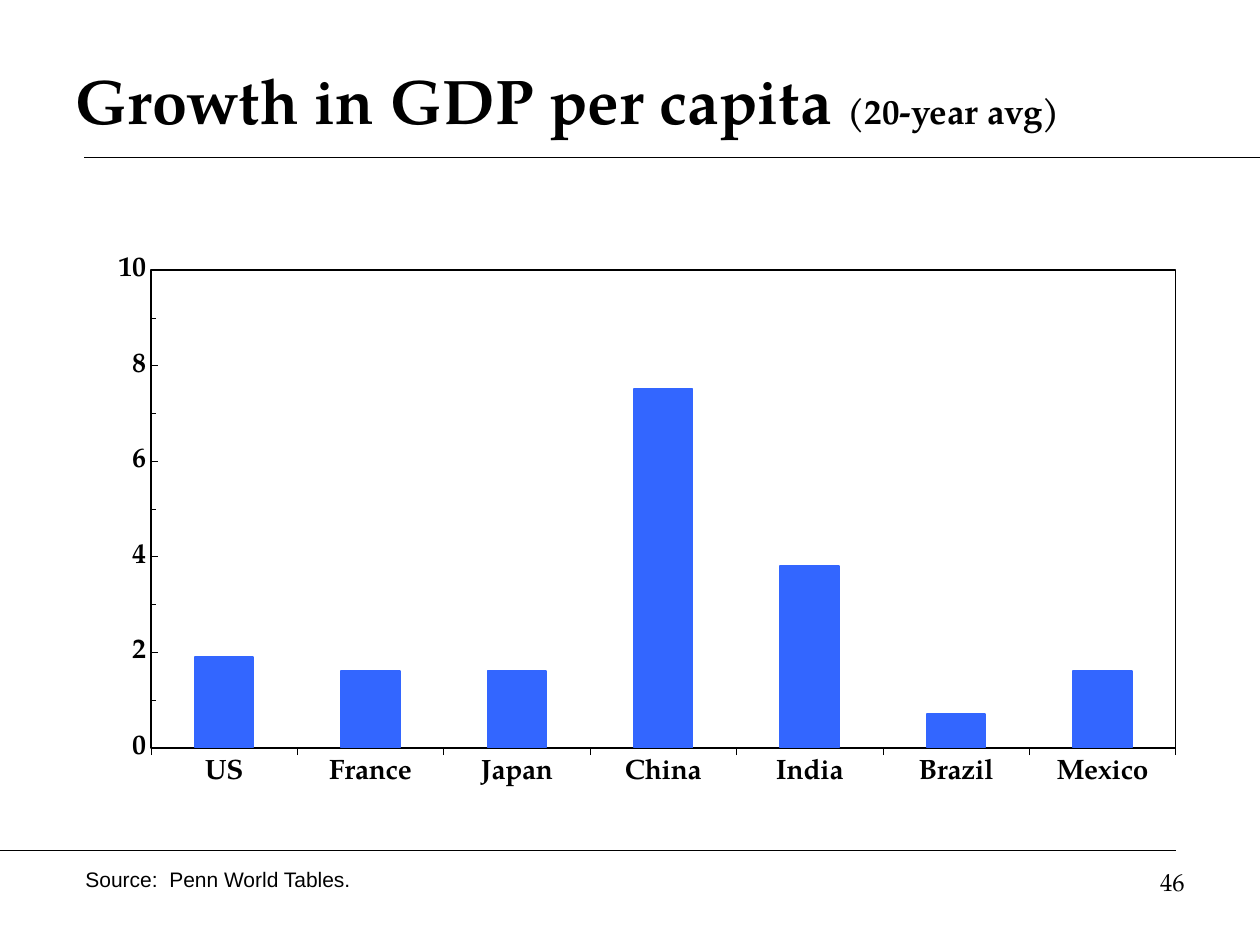
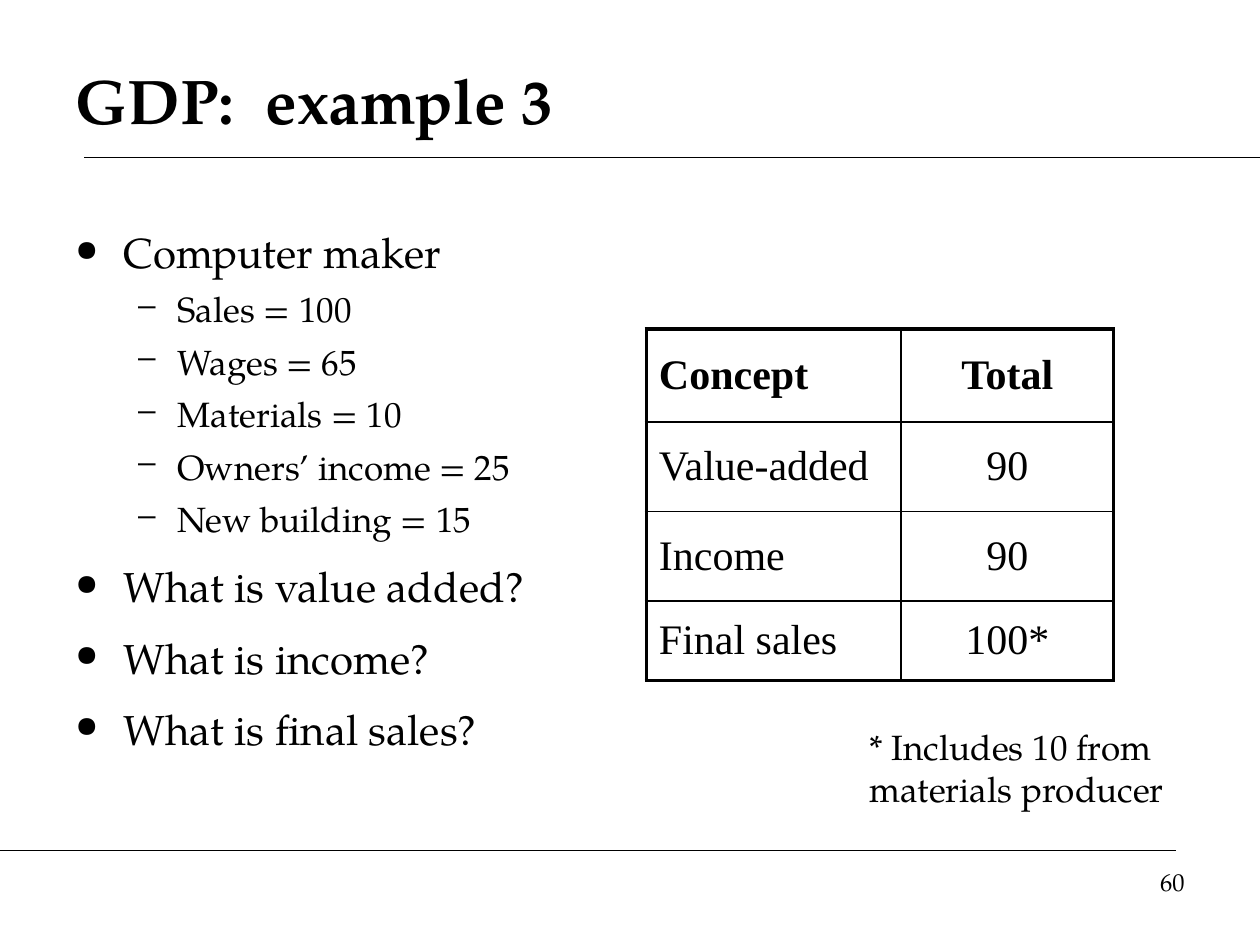
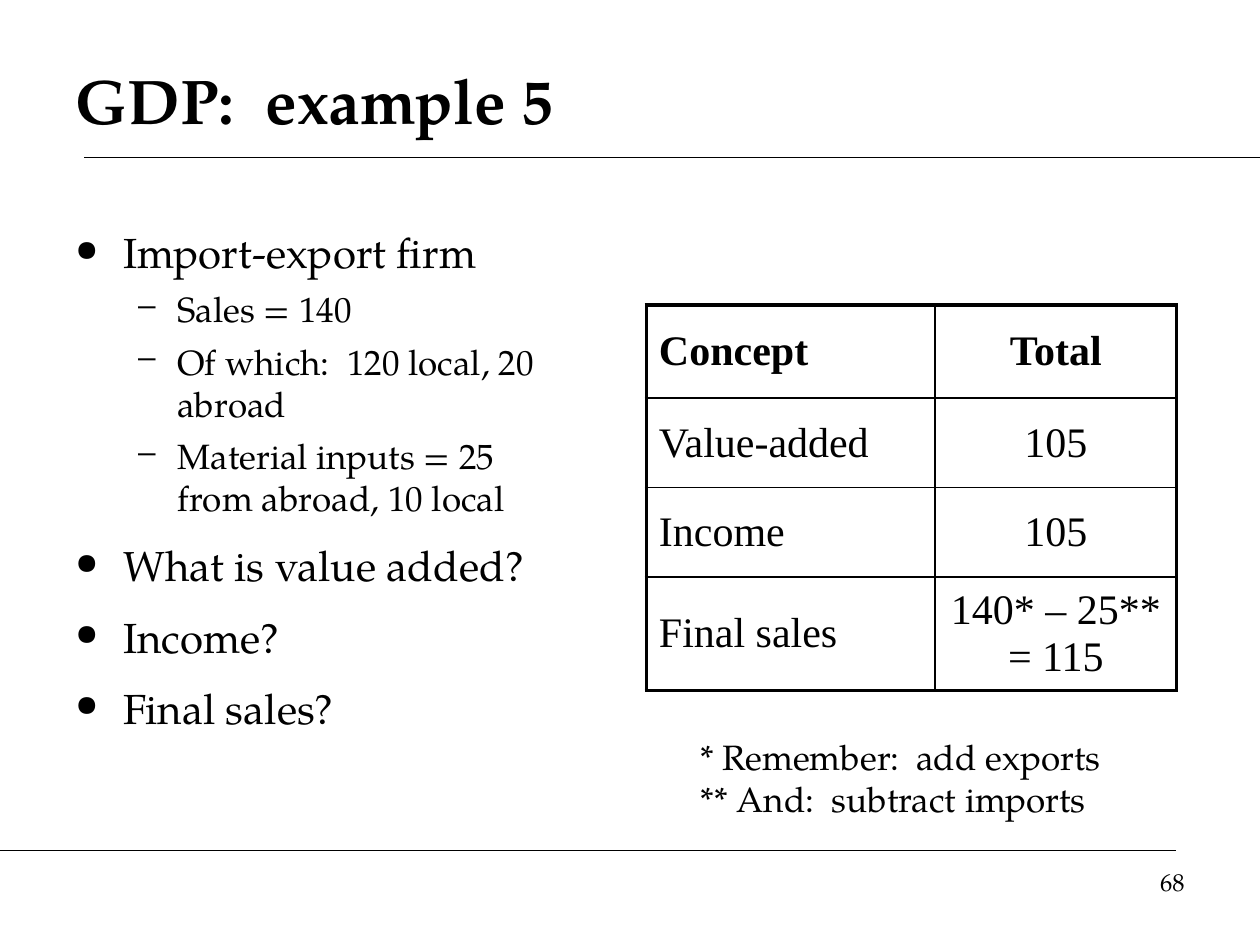
from lxml import etree
from pptx import Presentation
from pptx.chart.data import CategoryChartData
from pptx.dml.color import RGBColor
from pptx.enum.chart import XL_CHART_TYPE, XL_TICK_MARK
from pptx.enum.shapes import MSO_CONNECTOR
from pptx.enum.text import MSO_ANCHOR, PP_ALIGN
from pptx.oxml.ns import qn
from pptx.util import Inches, Pt

BLACK = RGBColor(0x00, 0x00, 0x00)
BLUE = RGBColor(0x33, 0x66, 0xFF)
SERIF = "TeX Gyre Pagella"
SANS = "Arial"
TABLE_FONT = "Times New Roman"

# Bullet levels: character, left margin, hanging indent, size, space before
BULLETS = [("•", 0.38, 0.38, 24, 12), ("–", 0.81, 0.31, 20, 6)]
ROW_HEIGHTS = [0.74, 0.71, 0.71]


def add_element(parent, tag, **attributes):
    element = etree.SubElement(parent, qn(tag))
    for name, value in attributes.items():
        element.set(name, str(value))
    return element


def style_font(font, size, name=SERIF, bold=False):
    font.size = Pt(size)
    font.name = name
    font.bold = bold
    font.color.rgb = BLACK


class Deck:
    def __init__(self):
        self.presentation = Presentation()
        self.presentation.slide_width = Inches(10)
        self.presentation.slide_height = Inches(7.5)
        self.slide = None

    def new_slide(self, title_runs, number):
        """Start a slide with its title, two rules and slide number."""
        layout = self.presentation.slide_layouts[6]
        self.slide = self.presentation.slides.add_slide(layout)
        self.rule(0.67, 10, 1.25)
        self.rule(0, 9.33, 6.75)
        frame = self.text_frame(0.5, 0.33, 9, 0.92)
        frame.vertical_anchor = MSO_ANCHOR.MIDDLE
        for text, size in title_runs:
            self.run(frame.paragraphs[0], text, size, bold=True)
        self.text([str(number)], 7.17, 6.83, 2.33, 0.52, 14, align=PP_ALIGN.RIGHT)

    def rule(self, left, right, top):
        line = self.slide.shapes.add_connector(
            MSO_CONNECTOR.STRAIGHT, Inches(left), Inches(top), Inches(right), Inches(top))
        line.line.color.rgb = BLACK
        line.line.width = Pt(0.75)
        add_element(line._element.spPr, "a:effectLst")

    def text_frame(self, left, top, width, height):
        box = self.slide.shapes.add_textbox(
            Inches(left), Inches(top), Inches(width), Inches(height))
        box.text_frame.word_wrap = True
        return box.text_frame

    def run(self, paragraph, text, size, name=SERIF, bold=False):
        run = paragraph.add_run()
        run.text = text
        style_font(run.font, size, name, bold)

    def paragraph(self, frame, index):
        return frame.add_paragraph() if index else frame.paragraphs[0]

    def text(self, lines, left, top, width, height, size, name=SERIF, align=PP_ALIGN.LEFT):
        frame = self.text_frame(left, top, width, height)
        for index, line in enumerate(lines):
            paragraph = self.paragraph(frame, index)
            paragraph.alignment = align
            self.run(paragraph, line, size, name)

    def bullets(self, items, width):
        frame = self.text_frame(0.5, 1.75, width, 4.95)
        for index, (level, text) in enumerate(items):
            character, margin, hanging, size, space = BULLETS[level]
            paragraph = self.paragraph(frame, index)
            paragraph.level = level
            properties = paragraph._p.get_or_add_pPr()
            properties.set("marL", str(Inches(margin)))
            properties.set("indent", str(-Inches(hanging)))
            add_element(properties, "a:buFont", typeface=SERIF)
            add_element(properties, "a:buChar", char=character)
            if index:
                paragraph.space_before = Pt(space)
            self.run(paragraph, text, size)

    def table(self, rows, top, column_widths, last_height):
        heights = ROW_HEIGHTS + [last_height]
        table = self.slide.shapes.add_table(
            len(rows), len(column_widths), Inches(5.13), Inches(top),
            Inches(sum(column_widths)), Inches(sum(heights))).table
        table.first_row = table.horz_banding = False
        for column, width in zip(table.columns, column_widths):
            column.width = Inches(width)
        last_row, last_column = len(rows) - 1, len(column_widths) - 1
        for row, values in enumerate(rows):
            table.rows[row].height = Inches(heights[row])
            for column, value in enumerate(values):
                cell = table.cell(row, column)
                cell.vertical_anchor = MSO_ANCHOR.MIDDLE
                paragraph = cell.text_frame.paragraphs[0]
                paragraph.alignment = PP_ALIGN.CENTER if column else PP_ALIGN.LEFT
                self.run(paragraph, value, 24, TABLE_FONT, bold=row == 0)
                self.borders(cell, {"L": column == 0, "R": column == last_column,
                                    "T": row == 0, "B": row == last_row})
                cell.fill.background()

    def borders(self, cell, outer_sides):
        """Draw heavy lines on the table's outer edge, thin ones inside."""
        properties = cell._tc.get_or_add_tcPr()
        for side, is_outer in outer_sides.items():
            line = add_element(properties, f"a:ln{side}", w=Pt(2.25 if is_outer else 1))
            add_element(add_element(line, "a:solidFill"), "a:srgbClr", val=BLACK)

    def column_chart(self, categories, values):
        data = CategoryChartData(number_format="0.0")
        data.categories = categories
        data.add_series("Series 1", values)
        chart = self.slide.shapes.add_chart(
            XL_CHART_TYPE.COLUMN_CLUSTERED, Inches(0.56), Inches(1.81),
            Inches(8.86), Inches(4.83), data).chart
        chart.has_legend = chart.has_title = False
        style_font(chart.font, 18, SANS, bold=True)
        plot = chart.plots[0]
        plot.gap_width = 150
        plot.vary_by_categories = False
        bar_format = plot.series[0].format
        bar_format.fill.solid()
        bar_format.fill.fore_color.rgb = BLUE
        bar_format.line.color.rgb = BLUE
        bar_format.line.width = Pt(1)

        # Axes
        for axis in (chart.category_axis, chart.value_axis):
            style_font(axis.tick_labels.font, 16, bold=True)
            axis.has_major_gridlines = False
            axis.format.line.color.rgb = BLACK
            axis.format.line.width = Pt(0.25)
        chart.category_axis.major_tick_mark = XL_TICK_MARK.OUTSIDE
        value_axis = chart.value_axis
        value_axis.minimum_scale, value_axis.maximum_scale = 0, 10
        value_axis.major_unit, value_axis.minor_unit = 2, 1
        value_axis.major_tick_mark = value_axis.minor_tick_mark = XL_TICK_MARK.INSIDE
        value_axis.tick_labels.number_format = "0"
        value_axis.tick_labels.number_format_is_linked = False

        # Plot area: fixed inner position and a black frame
        plot_area = chart._chartSpace.chart.plotArea
        for layout in plot_area.findall(qn("c:layout")):
            plot_area.remove(layout)
        layout = add_element(plot_area, "c:layout")
        plot_area.insert(0, layout)
        manual = add_element(layout, "c:manualLayout")
        for tag, value in (("layoutTarget", "inner"), ("xMode", "edge"), ("yMode", "edge"),
                           ("x", 0.072), ("y", 0.069), ("w", 0.918), ("h", 0.785)):
            add_element(manual, f"c:{tag}", val=value)
        frame = add_element(plot_area, "c:spPr")
        add_element(frame, "a:noFill")
        line = add_element(frame, "a:ln", w=Pt(1))
        add_element(add_element(line, "a:solidFill"), "a:srgbClr", val=BLACK)


def main():
    deck = Deck()

    # Growth chart
    deck.new_slide([("Growth in GDP per capita ", 36), ("(20-year avg)", 20)], 46)
    deck.column_chart(["US", "France", "Japan", "China", "India", "Brazil", "Mexico"],
                      [1.9, 1.6, 1.6, 7.5, 3.8, 0.7, 1.6])
    deck.text(["Source:  Penn World Tables."], 0.58, 6.83, 4.83, 0.3, 12, SANS)

    # Computer maker
    deck.new_slide([("GDP:  example 3", 36)], 60)
    deck.bullets([(0, "Computer maker"),
                  (1, "Sales = 100"),
                  (1, "Wages = 65"),
                  (1, "Materials = 10"),
                  (1, "Owners’ income = 25"),
                  (1, "New building = 15"),
                  (0, "What is value added?"),
                  (0, "What is income?"),
                  (0, "What is final sales?")], 4.25)
    deck.table([("Concept", "Total"), ("Value-added", "90"),
                ("Income", "90"), ("Final sales", "100*")], 2.61, [2.02, 1.69], 0.63)
    deck.text(["* Includes 10 from materials producer"], 6.8, 5.71, 2.75, 0.77, 20)

    # Import-export firm
    deck.new_slide([("GDP:  example 5", 36)], 68)
    deck.bullets([(0, "Import-export firm"),
                  (1, "Sales = 140"),
                  (1, "Of which:  120 local, 20 abroad"),
                  (1, "Material inputs = 25 from abroad, 10 local"),
                  (0, "What is value added?"),
                  (0, "Income?"),
                  (0, "Final sales?")], 4.08)
    deck.table([("Concept", "Total"), ("Value-added", "105"),
                ("Income", "105"), ("Final sales", "140* – 25** = 115")],
               2.42, [2.29, 1.92], 0.84)
    deck.text(["* Remember:  add exports", "** And:  subtract imports"],
              5.46, 5.79, 4.08, 0.77, 20)

    deck.presentation.save("out.pptx")


if __name__ == "__main__":
    main()
